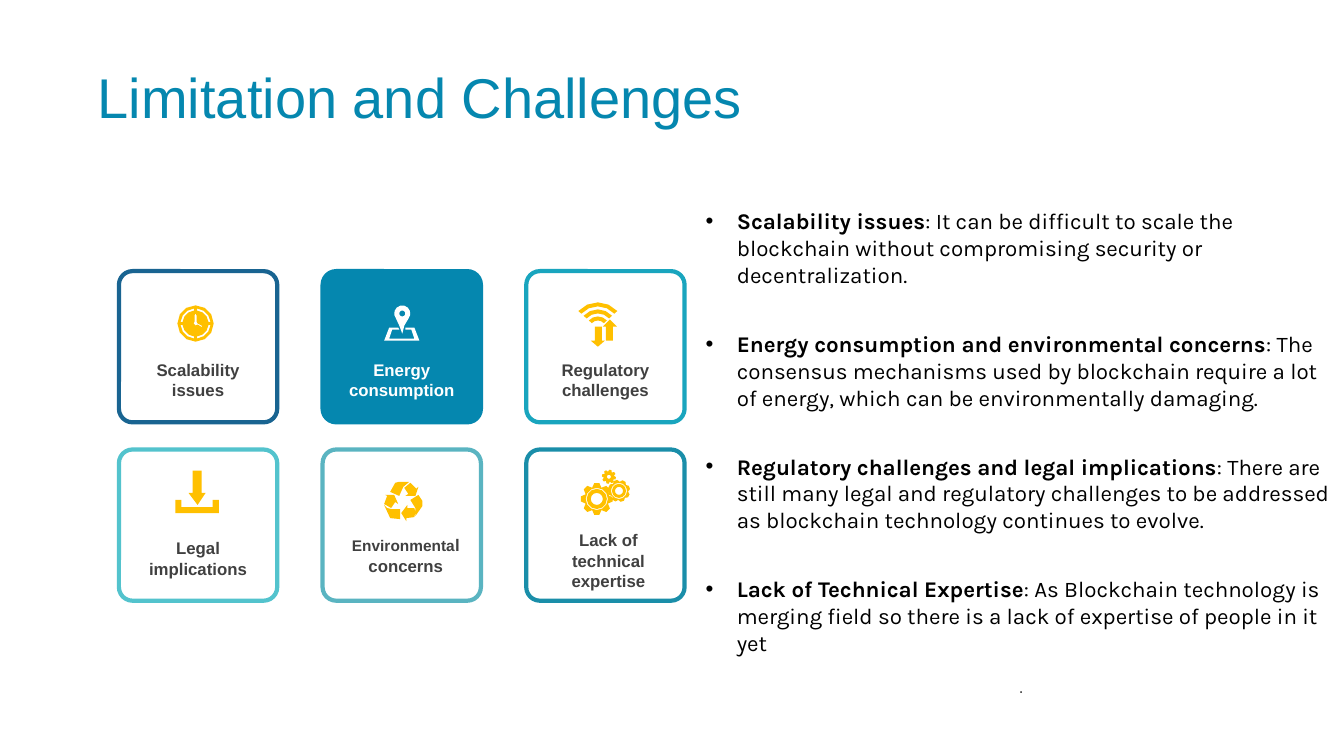
from dataclasses import dataclass
from math import ceil, cos, radians, sin
from typing import NamedTuple

from lxml import etree
from pptx import Presentation
from pptx import util as u
from pptx.dml.color import RGBColor
from pptx.enum import shapes, text
from pptx.oxml import ns
from pptx.slide import Slide

Point = tuple[float, float]
Outline = list[Point]


@dataclass(frozen=True)
class Theme:
    accent: str = "0587AF"
    icon: str = "FFC000"
    label: str = "404040"
    white: str = "FFFFFF"
    body: str = "000000"
    sans: str = "Arial"
    body_face: str = "Karla"
    title_size: int = 40
    body_size: int = 16
    label_size: int = 12
    small_size: int = 11
    border: int = 3


THEME = Theme()


class Run(NamedTuple):
    words: str
    size: int = THEME.label_size


class Card(NamedTuple):
    column: int
    row: int
    border: str
    label: list[Run]
    icon: list[Outline]
    filled: bool = False
    nudge: Point = (0, 0)


class Limitation(NamedTuple):
    heading: str
    detail: str


# Outlines for the icons, in slide inches; angles run clockwise from the top
def polar(centre: Point, radius: float, angle: float) -> Point:
    return centre[0] + radius * sin(radians(angle)), centre[1] - radius * cos(radians(angle))


def arc(centre: Point, radius: float, start: float = 0, end: float = 360) -> Outline:
    steps = ceil(abs(end - start) / 30)
    return [polar(centre, radius, start + (end - start) * i / steps) for i in range(steps + 1)]


def band(centre: Point, outer: float, inner: float, start: float, end: float) -> Outline:
    return arc(centre, outer, start, end) + arc(centre, inner, end, start)


def gear(centre: Point, tip: float, root: float, holes: list[float], turn: float) -> list[Outline]:
    teeth = [polar(centre, radius, turn + tooth * 45 + offset)
             for tooth in range(8)
             for offset, radius in ((-9, tip), (9, tip), (22.5, root))]
    return [teeth] + [arc(centre, hole) for hole in holes]


DIAL = (1.94, 3.21)
CLOCK = [
    arc(DIAL, 0.18),
    *[band(DIAL, 0.15, 0.13, q + 6, q + 84) for q in range(0, 360, 90)],
    [(1.94, 3.11), (1.93, 3.13), (1.93, 3.19), (1.92, 3.21), (1.94, 3.23), (1.96, 3.22),
     (2.01, 3.25), (2, 3.23), (1.96, 3.21), (1.95, 3.19), (1.95, 3.13)],
]
PIN_HEAD = (3.99, 3.11)
MAP_PIN = [
    arc(PIN_HEAD, 0.08, -130, 130) + [(4.01, 3.23), (3.99, 3.31), (3.96, 3.23)],
    arc(PIN_HEAD, 0.03),
    [(3.86, 3.25), (3.95, 3.25), (3.96, 3.27), (3.89, 3.27), (3.86, 3.36), (4.11, 3.36),
     (4.08, 3.27), (4.02, 3.27), (4.02, 3.25), (4.11, 3.25), (4.16, 3.38), (3.81, 3.38)],
]
SIGNAL = [
    *[band((5.93, 3.26), r, r - 0.04, -48, 48) for r in (0.26, 0.19, 0.12)],
    [(5.9, 3.24), (5.97, 3.24), (5.97, 3.38), (6, 3.38), (5.93, 3.44), (5.86, 3.38), (5.9, 3.38)],
    [(6.05, 3.17), (6.12, 3.24), (6.08, 3.24), (6.08, 3.38), (6.01, 3.38), (6.01, 3.24),
     (5.98, 3.24)],
]
DOWNLOAD = [
    [(1.74, 4.96), (1.8, 4.96), (1.8, 5.03), (2.11, 5.03), (2.11, 4.96), (2.17, 4.96),
     (2.17, 5.09), (1.74, 5.09)],
    [(1.91, 4.67), (2, 4.67), (2, 4.89), (2.04, 4.89), (1.96, 5.01), (1.87, 4.89), (1.91, 4.89)],
]
RECYCLING = [
    [(4.04, 5.01), (4.04, 5.04), (4.11, 5.04), (4.12, 5.08), (4.11, 5.13), (4.03, 5.14),
     (4.03, 5.17), (3.98, 5.09)],
    [(3.81, 5.01), (3.84, 5.04), (3.88, 5.05), (3.97, 5.05), (3.97, 5.15), (3.87, 5.14)],
    [(4.15, 4.91), (4.19, 4.97), (4.19, 5.02), (4.12, 5.12), (4.12, 5.04), (4.07, 4.96)],
    [(3.82, 4.91), (3.91, 4.91), (3.95, 5), (3.92, 4.98), (3.88, 5.04), (3.81, 5),
     (3.84, 4.92)],
    [(4.07, 4.79), (4.13, 4.85), (4.15, 4.83), (4.12, 4.92), (4.02, 4.92), (4.05, 4.9),
     (4.01, 4.84)],
    [(3.96, 4.78), (4.06, 4.78), (4, 4.83), (3.96, 4.92), (3.87, 4.88), (3.92, 4.79)],
]
GEARS = [
    *gear((5.92, 4.95), 0.16, 0.12, [0.11, 0.1, 0.06], 0),
    *gear((6.14, 4.87), 0.11, 0.09, [0.08, 0.07, 0.04], -18),
    *gear((6.04, 4.73), 0.07, 0.05, [0.02], 12),
]

CARDS = [
    Card(0, 0, "196491", [Run("Scalability issues")], CLOCK),
    Card(1, 0, THEME.accent, [Run("Energy consumption")], MAP_PIN, filled=True),
    Card(2, 0, "19A5BE", [Run("Regulatory challenges")], SIGNAL),
    Card(0, 1, "53C3CD", [Run("Legal implications")], DOWNLOAD),
    Card(1, 1, "5AB4C1", [Run("Environmenta", THEME.small_size), Run("l concerns")],
         RECYCLING, nudge=(0.04, -0.03)),
    Card(2, 1, "1A8EA9", [Run("Lack of technical expertise")], GEARS, nudge=(0.03, -0.08)),
]
LIMITATIONS = [
    Limitation("Scalability issues", ": It can be difficult to scale the blockchain without "
               "compromising security or decentralization."),
    Limitation("Energy consumption and environmental concerns", ": The consensus mechanisms used "
               "by blockchain require a lot of energy, which can be environmentally damaging."),
    Limitation("Regulatory challenges and legal implications", ": There are still many legal and "
               "regulatory challenges to be addressed as blockchain technology continues to evolve."),
    Limitation("Lack of Technical Expertise", ": As Blockchain technology is merging field so "
               "there is a lack of expertise of people in it yet"),
]


# Drawing helpers
def assign(target, values: dict) -> None:
    for name, value in values.items():
        setattr(target, name, value)


def add_run(paragraph, words: str, size: int, face: str, colour: str, bold: bool = False) -> None:
    run = paragraph.add_run()
    run.text = words
    assign(run.font, {"size": u.Pt(size), "name": face, "bold": bold})
    run.font.color.rgb = RGBColor.from_string(colour)


def add_text_frame(slide: Slide, left: float, top: float, width: float, height: float):
    box = slide.shapes.add_textbox(*map(u.Inches, (left, top, width, height)))
    assign(box.text_frame, {"word_wrap": True, "auto_size": text.MSO_AUTO_SIZE.SHAPE_TO_FIT_TEXT})
    return box.text_frame


def draw_icon(slide: Slide, outlines: list[Outline], colour: str) -> None:
    contours = [[(u.Inches(x), u.Inches(y)) for x, y in outline] for outline in outlines]
    builder = slide.shapes.build_freeform(*contours[0][0], scale=1.0)
    for index, contour in enumerate(contours):
        if index:
            builder.move_to(*contour[0])
        builder.add_line_segments(contour[1:], close=True)
    icon = builder.convert_to_shape()
    icon.shadow.inherit = False
    icon.fill.solid()
    icon.fill.fore_color.rgb = RGBColor.from_string(colour)
    icon.line.fill.background()


def draw_card(slide: Slide, card: Card) -> None:
    left, top = 1.18 + 2.02 * card.column, 2.69 + 1.77 * card.row
    frame = slide.shapes.add_shape(shapes.MSO_SHAPE.ROUNDED_RECTANGLE,
                                   *map(u.Inches, (left, top, 1.57, 1.5)))
    frame.adjustments[0] = 0.09
    frame.shadow.inherit = False
    frame.line.color.rgb = RGBColor.from_string(card.border)
    frame.line.width = u.Pt(THEME.border)
    if card.filled:
        frame.fill.solid()
        frame.fill.fore_color.rgb = RGBColor.from_string(card.border)
    else:
        frame.fill.background()
    label = add_text_frame(slide, left + 0.15 + card.nudge[0], top + 0.83 + card.nudge[1],
                           1.27, 0.5).paragraphs[0]
    label.alignment = text.PP_ALIGN.CENTER
    for run in card.label:
        add_run(label, run.words, run.size, THEME.sans,
                THEME.white if card.filled else THEME.label, bold=True)
    draw_icon(slide, card.icon, THEME.white if card.filled else THEME.icon)


def draw_limitations(slide: Slide) -> None:
    frame = add_text_frame(slide, 6.9, 2.01, 6.46, 4.74)
    for index, item in enumerate(LIMITATIONS):
        bullet = frame.add_paragraph() if index else frame.paragraphs[0]
        assign(bullet, {"space_before": u.Pt(15), "space_after": u.Pt(15)})
        properties = bullet._p.get_or_add_pPr()
        properties.set("marL", str(u.Inches(0.31)))
        properties.set("indent", str(u.Inches(-0.31)))
        etree.SubElement(properties, ns.qn("a:buFont")).set("typeface", THEME.sans)
        etree.SubElement(properties, ns.qn("a:buChar")).set("char", "•")
        for words, bold in ((item.heading, True), (item.detail, False)):
            add_run(bullet, words, THEME.body_size, THEME.body_face, THEME.body, bold)
    closing = frame.add_paragraph()
    closing.alignment = text.PP_ALIGN.CENTER
    add_run(closing, ".", THEME.label_size, THEME.sans, THEME.label)


def draw_title(slide: Slide) -> None:
    title = slide.shapes.title
    assign(title, {"left": u.Inches(0.87), "top": u.Inches(0.51),
                   "width": u.Inches(6.76), "height": u.Inches(0.97)})
    assign(title.text_frame, {"vertical_anchor": text.MSO_ANCHOR.MIDDLE, "word_wrap": True,
                              "auto_size": text.MSO_AUTO_SIZE.NONE})
    heading = title.text_frame.paragraphs[0]
    assign(heading, {"alignment": text.PP_ALIGN.LEFT, "line_spacing": 0.9})
    add_run(heading, "Limitation and Challenges", THEME.title_size, THEME.sans, THEME.accent)


# Slide
def main() -> None:
    deck = Presentation()
    assign(deck, {"slide_width": u.Inches(13.33), "slide_height": u.Inches(7.5)})
    slide = deck.slides.add_slide(deck.slide_layouts[5])
    draw_title(slide)
    for card in CARDS:
        draw_card(slide, card)
    draw_limitations(slide)
    deck.save("out.pptx")


if __name__ == "__main__":
    main()
